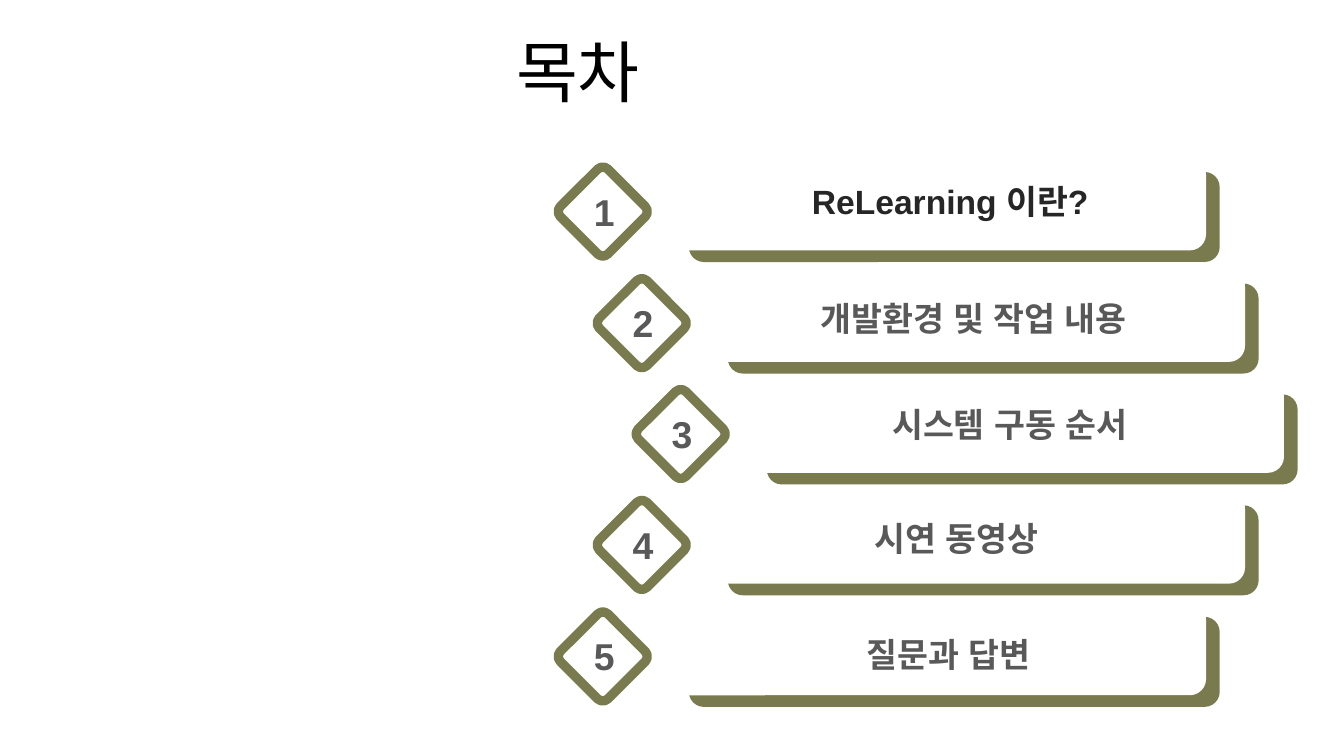
from dataclasses import dataclass

from lxml import etree
from pptx import Presentation
from pptx.dml.color import RGBColor
from pptx.enum import shapes, text
from pptx.oxml import ns
from pptx.util import Emu, Pt

SCALE = 4572
FONT = "Arial"
OLIVE, WHITE, BLACK, GRAY, DARK = "797B4F", "FFFFFF", "000000", "595959", "262626"
ROW_PITCH = 165.5
INDENT = 58
LEFT, CENTER = text.PP_ALIGN.LEFT, text.PP_ALIGN.CENTER


@dataclass(frozen=True)
class Box:
    left: int
    top: int
    width: int
    height: int

    def emu(self) -> list[Emu]:
        return [Emu(n * SCALE) for n in (self.left, self.top, self.width, self.height)]


@dataclass(frozen=True)
class Entry:
    label: str
    indents: int
    label_box: Box
    color: str = GRAY
    align: text.PP_ALIGN = LEFT
    spacing: float = 1.0


ENTRIES = [
    Entry("ReLearning 이란?", 0, Box(1083, 271, 662, 68), DARK, CENTER, 0.8),
    Entry("개발환경 및 작업 내용", 1, Box(1201, 434, 662, 68)),
    Entry("시스템 구동 순서", 2, Box(1308, 592, 546, 68)),
    Entry("시연 동영상", 1, Box(1282, 761, 662, 68)),
    Entry("질문과 답변", 0, Box(1270, 934, 662, 68)),
]


def rgb(value: str) -> RGBColor:
    return RGBColor.from_string(value)


def write(frame, words: str, size: int, color: str, align=LEFT, bold=False, spacing=1.0) -> None:
    frame.word_wrap = True
    frame.auto_size = text.MSO_AUTO_SIZE.NONE
    para = frame.paragraphs[0]
    para.alignment = align
    para.line_spacing = spacing
    span = para.add_run()
    span.text = words
    span.font.name = FONT
    span.font.size = Pt(size)
    span.font.bold = bold
    span.font.color.rgb = rgb(color)
    latin = span.font._element.find(ns.qn("a:latin"))
    east_asian = etree.Element(ns.qn("a:ea"), typeface=FONT)
    latin.addnext(east_asian)


def add_rounded(group, box: Box, corner: float, fill: str, line="", weight=0.0, rotation=0) -> None:
    shape = group.shapes.add_shape(shapes.MSO_SHAPE.ROUNDED_RECTANGLE, *box.emu())
    shape.shadow.inherit = False
    shape.adjustments[0] = corner
    shape.rotation = rotation
    shape.fill.solid()
    shape.fill.fore_color.rgb = rgb(fill)
    if line:
        shape.line.color.rgb = rgb(line)
        shape.line.width = Pt(weight)
    else:
        shape.line.fill.background()


def add_entry(page, index: int, entry: Entry) -> None:
    group = page.shapes.add_group_shape()
    x = entry.indents * INDENT
    y = round(index * ROW_PITCH)
    add_rounded(group, Box(1025 + x, 256 + y, 790, 134), 0.167, OLIVE)
    add_rounded(group, Box(1003 + x, 237 + y, 790, 134), 0.167, WHITE, WHITE, 1.25)
    label = group.shapes.add_textbox(*entry.label_box.emu())
    write(label.text_frame, entry.label, 18, entry.color, entry.align, True, entry.spacing)
    add_rounded(group, Box(847 + x, 265 + y, 100, 100), 0.107, WHITE, OLIVE, 5, 45)
    number = group.shapes.add_textbox(*Box(864 + x, 271 + y, 66, 88).emu())
    write(number.text_frame, str(index + 1), 20, GRAY, CENTER, True)


def main() -> None:
    deck = Presentation()
    deck.slide_width, deck.slide_height = Emu(2000 * SCALE), Emu(1125 * SCALE)
    page = deck.slides.add_slide(deck.slide_layouts[5])
    title = page.shapes.title
    title.left, title.top, title.width, title.height = Box(748, 42, 1252, 126).emu()
    title.text_frame.vertical_anchor = text.MSO_ANCHOR.MIDDLE
    write(title.text_frame, "목차", 36, BLACK)
    for index, entry in enumerate(ENTRIES):
        add_entry(page, index, entry)
    deck.save("out.pptx")


if __name__ == "__main__":
    main()
